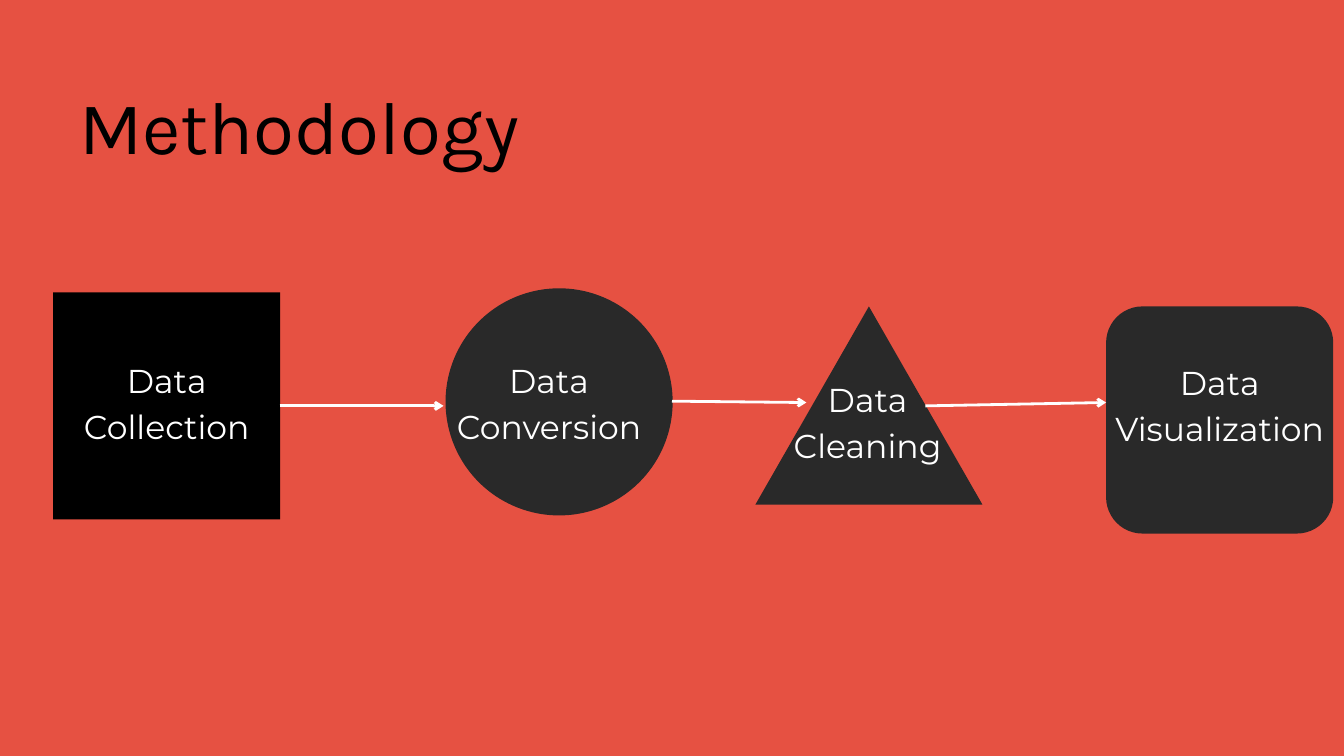
"""Build the Methodology slide: four data steps joined by arrows."""
from lxml.etree import SubElement
from pptx import Presentation
from pptx.dml.color import RGBColor
from pptx.enum.shapes import MSO_CONNECTOR as Connector, MSO_SHAPE as Shape
from pptx.enum.text import MSO_ANCHOR as Anchor, MSO_AUTO_SIZE as AutoSize, PP_ALIGN as Align
from pptx.oxml.ns import qn
from pptx.util import Inches, Pt

RED = RGBColor(0xE6, 0x51, 0x42)
BLACK = RGBColor(0x00, 0x00, 0x00)
CHARCOAL = RGBColor(0x29, 0x29, 0x29)
WHITE = RGBColor(0xFF, 0xFF, 0xFF)
STEP_WIDTH = 3.38
LABEL_HEIGHT = 1.35


class SlideBuilder:
    """Hold the deck style and draw elements on the current slide."""

    title_font = "Karla"
    label_font = "Montserrat"

    def __init__(self, presentation):
        self.slide = presentation.slides.add_slide(presentation.slide_layouts[5])
        fill = self.slide.background.fill
        fill.solid()
        fill.fore_color.rgb = RED

    def fill_text(self, frame, text, font_name, size, color, spacing, alignment):
        """Fill a text frame with one formatted run."""
        frame.margin_left = frame.margin_top = frame.margin_right = frame.margin_bottom = 0
        frame.word_wrap = True
        frame.auto_size = AutoSize.NONE
        frame.vertical_anchor = Anchor.TOP
        paragraph = frame.paragraphs[0]
        paragraph.alignment = alignment
        paragraph.line_spacing = Pt(spacing)
        run = paragraph.add_run()
        run.text = text
        run.font.name = font_name
        run.font.size = Pt(size)
        run.font.color.rgb = color

    def title(self, text, left, top, width, height):
        """Place and format the title placeholder."""
        shape = self.slide.shapes.title
        shape.left, shape.top = Inches(left), Inches(top)
        shape.width, shape.height = Inches(width), Inches(height)
        self.fill_text(shape.text_frame, text, self.title_font, 80, BLACK, 112, Align.LEFT)

    def step(self, kind, left, top, height, color):
        """Draw the outline-free shape of one step."""
        shape = self.slide.shapes.add_shape(
            kind, Inches(left), Inches(top), Inches(STEP_WIDTH), Inches(height))
        shape.shadow.inherit = False
        shape.fill.solid()
        shape.fill.fore_color.rgb = color
        shape.line.fill.background()
        if kind == Shape.ROUNDED_RECTANGLE:
            shape.adjustments[0] = 0.16

    def label(self, text, left, top):
        """Add the centred name of one step."""
        box = self.slide.shapes.add_textbox(
            Inches(left), Inches(top), Inches(STEP_WIDTH), Inches(LABEL_HEIGHT))
        self.fill_text(box.text_frame, text, self.label_font, 35.4, WHITE, 49.5, Align.CENTER)

    def arrow(self, start_x, start_y, end_x, end_y):
        """Draw a white arrow between two points."""
        connector = self.slide.shapes.add_connector(
            Connector.STRAIGHT, Inches(start_x), Inches(start_y), Inches(end_x), Inches(end_y))
        connector.line.color.rgb = WHITE
        connector.line.width = Pt(3)
        properties = connector.element.spPr
        SubElement(properties.find(qn("a:ln")), qn("a:tailEnd"), type="arrow")
        SubElement(properties, qn("a:effectLst"))


def main():
    """Build and save the slide."""
    presentation = Presentation()
    presentation.slide_width = Inches(20)
    presentation.slide_height = Inches(11.25)
    builder = SlideBuilder(presentation)
    builder.title("Methodology", 1.18, 0.96, 9.82, 1.5)

    steps = [
        (Shape.RECTANGLE, 0.79, 4.35, 3.38, BLACK),
        (Shape.OVAL, 6.63, 4.29, 3.38, CHARCOAL),
        (Shape.ISOSCELES_TRIANGLE, 11.24, 4.56, 2.95, CHARCOAL),
        (Shape.ROUNDED_RECTANGLE, 16.46, 4.56, 3.38, CHARCOAL),
    ]
    arrows = [
        (4.16, 6.04, 6.6, 6.04),
        (10, 5.97, 12, 5.99),
        (13.77, 6.04, 16.46, 5.99),
    ]
    labels = [
        ("Data Collection", 0.79, 5.26),
        ("Data Conversion", 6.48, 5.26),
        ("Data Cleaning", 11.22, 5.55),
        ("Data Visualization", 16.46, 5.3),
    ]
    for step in steps:
        builder.step(*step)
    for arrow in arrows:
        builder.arrow(*arrow)
    for label in labels:
        builder.label(*label)

    presentation.save("out.pptx")


if __name__ == "__main__":
    main()
